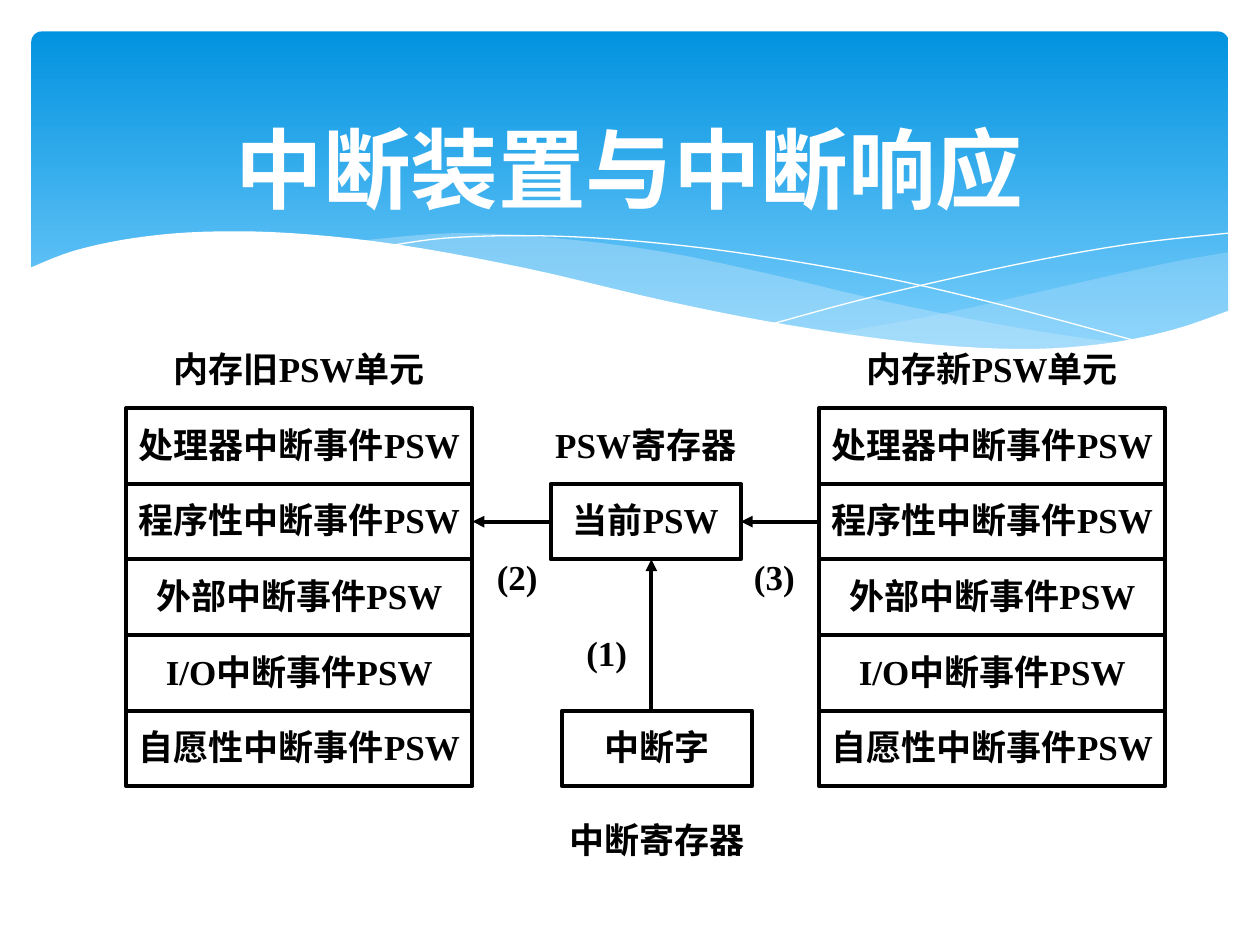
from dataclasses import dataclass

from lxml import etree
from pptx import Presentation
from pptx.dml.color import RGBColor
from pptx.enum.shapes import MSO_CONNECTOR, MSO_SHAPE
from pptx.enum.text import MSO_ANCHOR, PP_ALIGN
from pptx.oxml.ns import qn
from pptx.util import Inches, Pt

RECT, ROUNDED = MSO_SHAPE.RECTANGLE, MSO_SHAPE.ROUNDED_RECTANGLE
STRAIGHT = MSO_CONNECTOR.STRAIGHT
CENTER = PP_ALIGN.CENTER
TOP, MIDDLE = MSO_ANCHOR.TOP, MSO_ANCHOR.MIDDLE


@dataclass(frozen=True)
class Theme:
    ink: str = "000000"
    paper: str = "FFFFFF"
    sky_top: str = "0293E0"
    sky_bottom: str = "83D3FE"
    mist: str = "C6E7FC"
    title_font: str = "Cabin"
    body_font: str = "Times New Roman"
    title_size: float = 50
    body_size: float = 20
    rule: float = 2.25


THEME = Theme()
WIDTH, HEIGHT = 10, 7.5

# Diagram grid, in inches
GRID_TOP, ROW = 3.24, 0.6
OLD_LEFT, NEW_LEFT, STACK_WIDTH = 1, 6.5, 2.75
CURRENT_LEFT, WORD_LEFT, REGISTER_WIDTH = 4.37, 4.46, 1.51
STEP_WIDTH = 0.35
SIGNAL_X = 5.17

EVENTS = ["处理器中断事件PSW", "程序性中断事件PSW", "外部中断事件PSW",
          "I/O中断事件PSW", "自愿性中断事件PSW"]

# Points that the header's curves pass through
BACK_TOP = [(9.76, 2), (9.21, 2.1), (8.32, 2.3), (7.53, 2.48), (6.61, 2.65)]
BACK_BOTTOM = [(6.61, 2.65), (7.18, 2.73), (7.69, 2.77), (8.24, 2.77),
               (8.81, 2.73), (9.28, 2.63), (9.76, 2.47)]
FRONT_TOP = [(8.93, 2.73), (8.07, 2.6), (7.06, 2.4), (6.13, 2.18), (5.27, 2),
             (4.41, 1.89), (3.61, 1.85), (2.86, 1.91)]
FRONT_BOTTOM = [(2.86, 1.91), (3.62, 2.03), (4.49, 2.22), (5.3, 2.4), (6.18, 2.58),
                (7.09, 2.72), (7.85, 2.78), (8.38, 2.78), (8.93, 2.73)]
FALLING_LINE = [(3.09, 1.95), (3.53, 1.89), (4.16, 1.87), (4.89, 1.9), (5.82, 2),
                (6.95, 2.19), (7.95, 2.42), (9.07, 2.72)]
RISING_LINE = [(6.13, 2.57), (6.95, 2.35), (8.06, 2.1), (8.95, 1.94), (9.75, 1.85)]
HILL = [(9.77, 2.46), (9.3, 2.62), (8.75, 2.73), (8.09, 2.77), (7.26, 2.72),
        (6.26, 2.58), (5.29, 2.39), (4.18, 2.13), (3.15, 1.94), (2.3, 1.85),
        (1.61, 1.84), (1.06, 1.89), (0.59, 1.99), (0.23, 2.13)]
HILL_FOOT = [(0.23, 3.29), (9.77, 3.29)]


def color(value):
    return RGBColor.from_string(value)


def row_top(row):
    return GRID_TOP + row * ROW


def smooth(points, steps=5):
    """Return a Catmull-Rom curve through the points."""
    padded = [points[0], *points, points[-1]]
    curve = [points[0]]
    for a, b, c, d in zip(padded, padded[1:], padded[2:], padded[3:]):
        for step in range(1, steps + 1):
            t = step / steps
            curve.append(tuple(
                q + t / 2 * (r - p + t * (2 * p - 5 * q + 4 * r - s
                                          + t * (3 * (q - r) + s - p)))
                for p, q, r, s in zip(a, b, c, d)))
    return curve


def draw_curve(slide, points, fill=None, alpha=None, line=None):
    """Draw a filled area, or an open hairline when only a line is given."""
    first, *rest = [(Inches(x), Inches(y)) for x, y in points]
    builder = slide.shapes.build_freeform(*first, scale=1.0)
    builder.add_line_segments(rest, close=fill is not None)
    curve = builder.convert_to_shape()
    curve.shadow.inherit = False
    if fill:
        curve.fill.solid()
        curve.fill.fore_color.rgb = color(fill)
    else:
        curve.fill.background()
    if alpha:
        rgb = curve.fill._xPr.find(".//" + qn("a:srgbClr"))
        etree.SubElement(rgb, qn("a:alpha"), val=str(alpha * 1000))
    if line:
        curve.line.color.rgb = color(line)
        curve.line.width = Pt(0)
    else:
        curve.line.fill.background()


def draw_header(slide):
    margin = 0.25
    sky = slide.shapes.add_shape(ROUNDED, Inches(margin), Inches(margin),
                                 Inches(WIDTH - 2 * margin), Inches(2.7))
    sky.adjustments[0] = 0.03
    sky.shadow.inherit = False
    sky.line.fill.background()
    sky.fill.gradient()
    sky.fill.gradient_angle = 270
    for stop, shade in zip(sky.fill.gradient_stops, (THEME.sky_top, THEME.sky_bottom)):
        stop.color.rgb = color(shade)
    draw_curve(slide, smooth(BACK_TOP) + smooth(BACK_BOTTOM), fill=THEME.mist, alpha=29)
    draw_curve(slide, smooth(FRONT_TOP) + smooth(FRONT_BOTTOM), fill=THEME.mist, alpha=40)
    for ridge in (FALLING_LINE, RISING_LINE):
        draw_curve(slide, smooth(ridge), line=THEME.paper)
    draw_curve(slide, smooth(HILL) + HILL_FOOT, fill=THEME.paper)


def add_text(slide, text, left, top, width, height=ROW, *, boxed=False,
             size=THEME.body_size, font=THEME.body_font, ink=THEME.ink,
             anchor=TOP, inset=0.12):
    """Add centred bold text, with a ruled box around it if boxed."""
    place = [Inches(length) for length in (left, top, width, height)]
    if boxed:
        holder = slide.shapes.add_shape(RECT, *place)
        holder.shadow.inherit = False
        holder.fill.background()
        holder.line.color.rgb = color(THEME.ink)
        holder.line.width = Pt(THEME.rule)
    else:
        holder = slide.shapes.add_textbox(*place)
    frame = holder.text_frame
    frame.word_wrap = True
    frame.vertical_anchor = anchor
    frame.margin_left = frame.margin_right = frame.margin_bottom = 0
    frame.margin_top = Inches(inset)
    paragraph = frame.paragraphs[0]
    paragraph.alignment = CENTER
    run = paragraph.add_run()
    run.text = text
    run.font.name, run.font.size, run.font.bold = font, Pt(size), True
    run.font.color.rgb = color(ink)


def add_arrow(slide, start, end):
    arrow = slide.shapes.add_connector(
        STRAIGHT, *[Inches(length) for length in (*start, *end)])
    arrow.line.color.rgb = color(THEME.ink)
    arrow.line.width = Pt(THEME.rule)
    etree.SubElement(arrow.line._get_or_add_ln(), qn("a:tailEnd"), type="triangle")
    etree.SubElement(arrow._element.spPr, qn("a:effectLst"))


def add_stack(slide, heading, left):
    add_text(slide, heading, left, row_top(-1), STACK_WIDTH)
    for row, event in enumerate(EVENTS):
        add_text(slide, event, left, row_top(row), STACK_WIDTH, boxed=True)


def main():
    deck = Presentation()
    deck.slide_width, deck.slide_height = Inches(WIDTH), Inches(HEIGHT)
    slide = deck.slides.add_slide(deck.slide_layouts[6])
    draw_header(slide)
    add_text(slide, "中断装置与中断响应", 0.05 * WIDTH, 0.92, 0.9 * WIDTH, 0.82,
             size=THEME.title_size, font=THEME.title_font, ink=THEME.paper,
             anchor=MIDDLE, inset=0)

    add_stack(slide, "内存旧PSW单元", OLD_LEFT)
    add_stack(slide, "内存新PSW单元", NEW_LEFT)
    add_text(slide, "PSW寄存器", CURRENT_LEFT, row_top(0), REGISTER_WIDTH)
    add_text(slide, "当前PSW", CURRENT_LEFT, row_top(1), REGISTER_WIDTH, boxed=True)
    add_text(slide, "中断字", WORD_LEFT, row_top(4), REGISTER_WIDTH, boxed=True)
    add_text(slide, "中断寄存器", WORD_LEFT, row_top(5.23), REGISTER_WIDTH)

    swap_y = row_top(1.5)
    add_arrow(slide, (CURRENT_LEFT, swap_y), (OLD_LEFT + STACK_WIDTH, swap_y))
    add_arrow(slide, (NEW_LEFT, swap_y), (CURRENT_LEFT + REGISTER_WIDTH, swap_y))
    add_arrow(slide, (SIGNAL_X, row_top(4)), (SIGNAL_X, row_top(2)))
    for step, left, row in (("(1)", 4.64, 2.75), ("(2)", 3.93, 1.75), ("(3)", 5.97, 1.75)):
        add_text(slide, step, left, row_top(row), STEP_WIDTH)
    deck.save("out.pptx")


if __name__ == "__main__":
    main()
